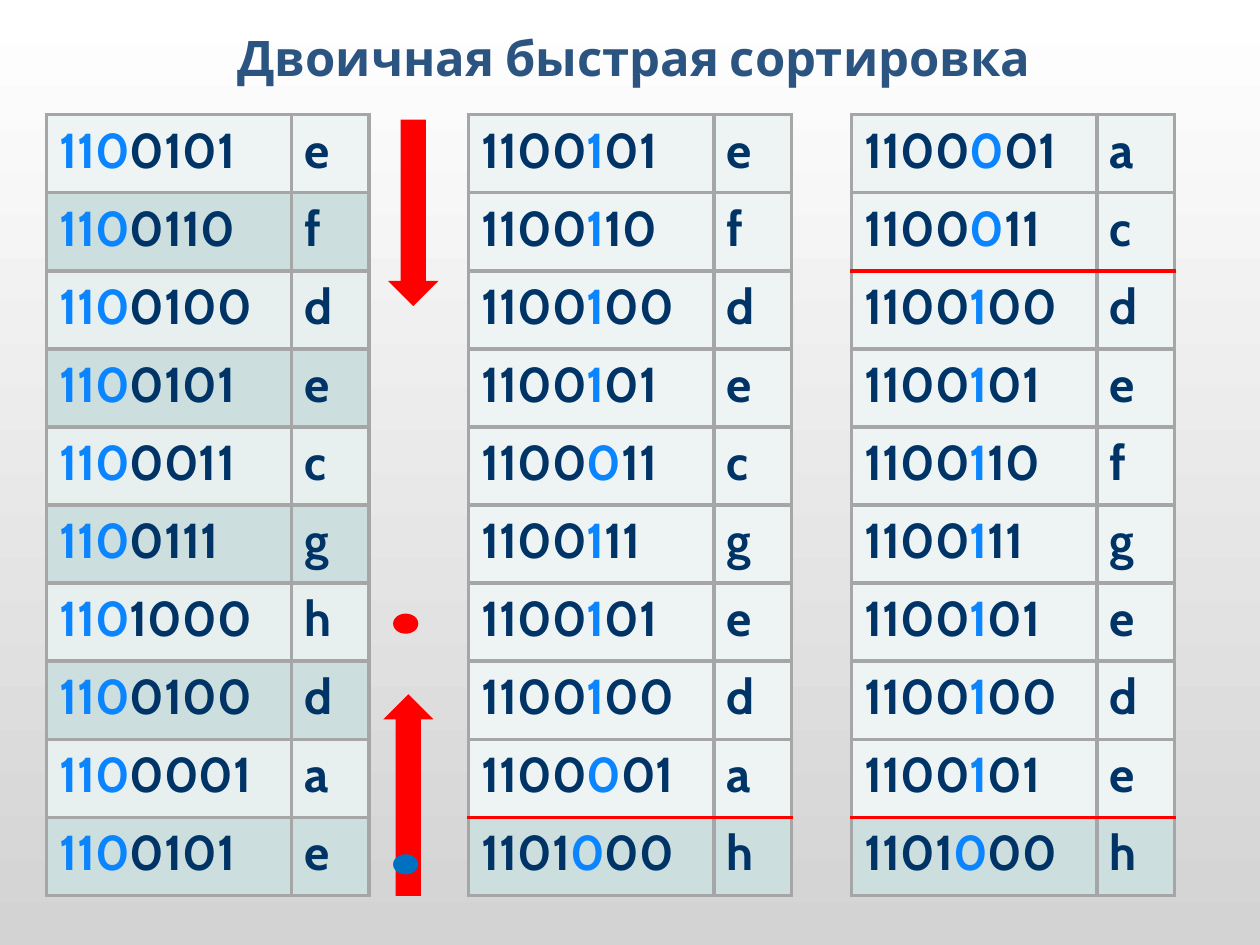
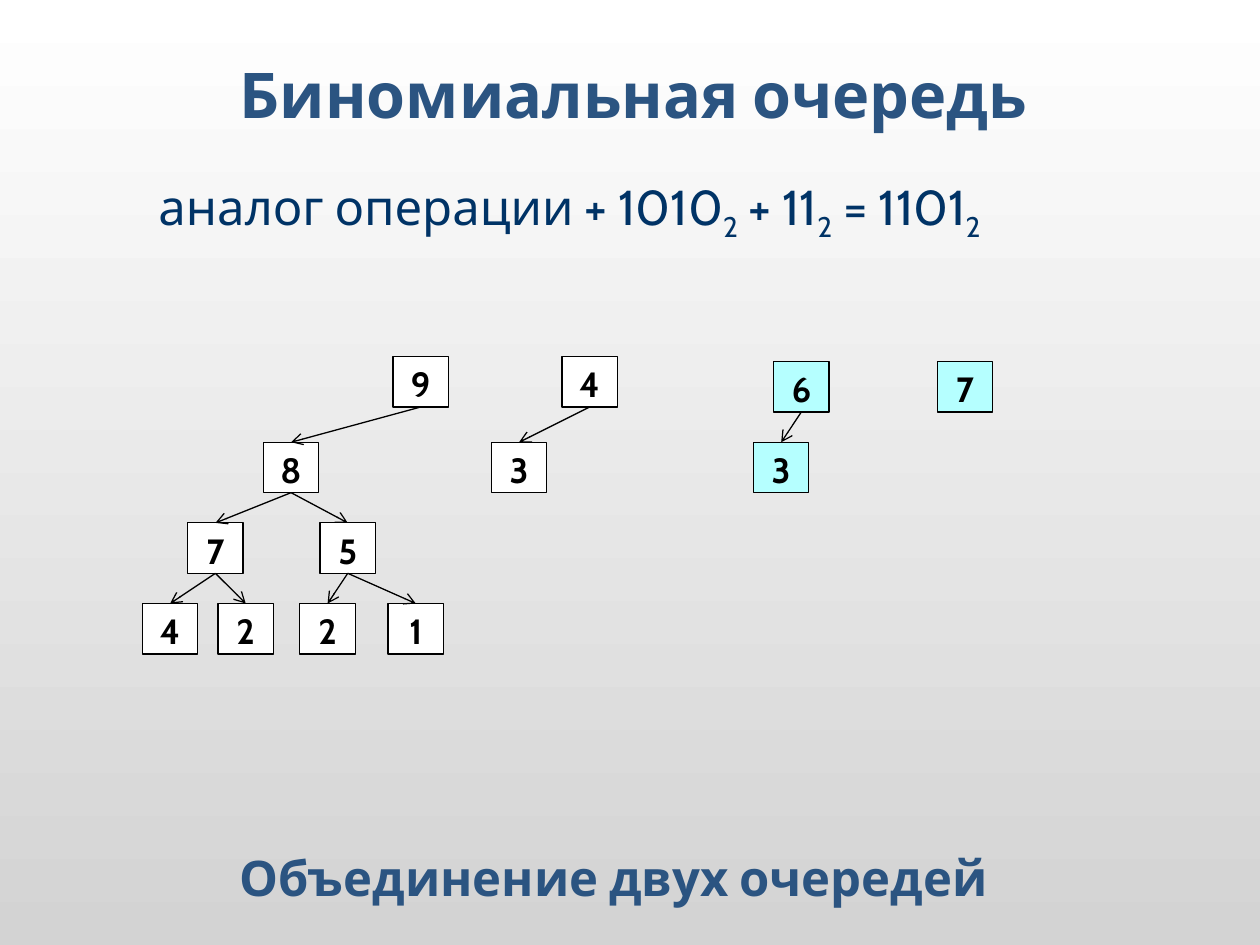
from collections import namedtuple

from lxml import etree
from pptx import Presentation
from pptx.dml.color import RGBColor
from pptx.enum.shapes import MSO_CONNECTOR, MSO_SHAPE
from pptx.enum.text import MSO_ANCHOR, MSO_AUTO_SIZE, PP_ALIGN
from pptx.oxml.ns import qn
from pptx.util import Inches, Pt

COLORS = {
    "title": "2B5481", "text": "003366", "bit": "0A85FF", "ink": "000000",
    "pale": "EEF4F4", "light": "E7EFEF", "band": "CCDEDE", "grid": "A6A6A6",
    "red": "FF0000", "blue": "0070C0", "white": "FFFFFF", "cyan": "B5FFFF",
    "page_top": "FFFFFF", "page_bottom": "D3D3D3",
}
FONT = "Cabin"
COLUMNS, ROWS = 100, 75
CELL = Inches(0.1)
TITLE_ONLY = 5
NODE_WIDTH, NODE_HEIGHT = 4.4, 4
BOTTOM_SITE, TOP_SITE = 2, 0
CENTER, LEFT = PP_ALIGN.CENTER, PP_ALIGN.LEFT
MIDDLE, TOP = MSO_ANCHOR.MIDDLE, MSO_ANCHOR.TOP
NO_AUTOSIZE = MSO_AUTO_SIZE.NONE
DOWN_ARROW, OVAL, RECTANGLE = MSO_SHAPE.DOWN_ARROW, MSO_SHAPE.OVAL, MSO_SHAPE.RECTANGLE
STRAIGHT = MSO_CONNECTOR.STRAIGHT

Box = namedtuple("Box", "left top width height")
Node = namedtuple("Node", "key left level parent")


def color(name):
    """Return the named palette colour."""
    return RGBColor.from_string(COLORS[name])


def place(box):
    """Turn a box of grid cells into slide lengths."""
    return [round(length * CELL) for length in box]


def add_run(paragraph, text, size, tint, bold=True, subscript=False):
    """Append one formatted run."""
    run = paragraph.add_run()
    run.text = text
    font = run.font
    font.name, font.size, font.bold = FONT, Pt(size), bold
    font.color.rgb = color(tint)
    if subscript:
        run._r.get_or_add_rPr().set("baseline", "-25000")


def prepare_text(frame, align=CENTER, anchor=TOP):
    """Set up a text frame and return its first paragraph."""
    frame.word_wrap = True
    frame.auto_size = NO_AUTOSIZE
    frame.vertical_anchor = anchor
    paragraph = frame.paragraphs[0]
    paragraph.alignment = align
    paragraph.space_before = Pt(0)
    return paragraph


def add_titled_slide(prs, title, box, size):
    """Add a slide with its title set in the given box."""
    slide = prs.slides.add_slide(prs.slide_layouts[TITLE_ONLY])
    heading = slide.shapes.title
    heading.left, heading.top, heading.width, heading.height = place(box)
    add_run(prepare_text(heading.text_frame, anchor=MIDDLE), title, size, "title")
    return slide


def add_textbox(slide, box, anchor=TOP):
    """Add a centred text box and return its paragraph."""
    return prepare_text(slide.shapes.add_textbox(*place(box)).text_frame, anchor=anchor)


def add_figure(slide, kind, box, fill, line=None):
    """Add a flat preset shape."""
    figure = slide.shapes.add_shape(kind, *place(box))
    figure.shadow.inherit = False
    figure.fill.solid()
    figure.fill.fore_color.rgb = color(fill)
    if line:
        figure.line.color.rgb = color(line)
        figure.line.width = Pt(0.75)
    else:
        figure.line.fill.background()
    return figure


def set_borders(cell, top, bottom):
    """Draw the four borders of a cell."""
    tints = {"a:lnL": "grid", "a:lnR": "grid", "a:lnT": top, "a:lnB": bottom}
    properties = cell._tc.get_or_add_tcPr()
    for index, (tag, tint) in enumerate(tints.items()):
        border = etree.Element(qn(tag), w=str(Pt(2.25)))
        fill = etree.SubElement(border, qn("a:solidFill"))
        etree.SubElement(fill, qn("a:srgbClr"), val=COLORS[tint])
        properties.insert(index, border)


def add_key_table(slide, box, letters, bits, fills, cuts=()):
    """List letters with their codes, marking the bits and the cuts between parts."""
    table = slide.shapes.add_table(len(letters), 2, *place(box)).table
    table.first_row = table.horz_banding = False
    code_width = box.width * 0.76
    for column, width in zip(table.columns, (code_width, box.width - code_width)):
        column.width = round(width * CELL)
    start, end = bits
    for index, (letter, fill) in enumerate(zip(letters, fills)):
        table.rows[index].height = round(box.height / len(letters) * CELL)
        code = format(ord(letter), "07b")
        code_parts = [(code[:start], "text"), (code[start:end], "bit"), (code[end:], "text")]
        for cell, parts in zip(table.rows[index].cells, (code_parts, [(letter, "text")])):
            cell.fill.solid()
            cell.fill.fore_color.rgb = color(fill)
            set_borders(cell, "red" if index in cuts else "grid",
                        "red" if index + 1 in cuts else "grid")
            paragraph = cell.text_frame.paragraphs[0]
            paragraph.alignment = LEFT
            for text, tint in parts:
                if text:
                    add_run(paragraph, text, 28, tint)


def add_scan_marks(slide, box):
    """Draw the two scan arrows and the dots where they stop."""
    left, top, width, height = box
    add_figure(slide, DOWN_ARROW, Box(left + 0.4, top, width, 14.8), "red")
    upward = add_figure(slide, DOWN_ARROW, Box(left, top + height - 16, width, 16), "red")
    upward.rotation = 180
    for row, tint in ((39.2, "red"), (58.3, "blue")):
        add_figure(slide, OVAL, Box(left + 0.8, top + row, width / 2, 1.6), tint)


def add_edge(slide, parent, child):
    """Join a parent node to its child with an arrow."""
    edge = slide.shapes.add_connector(STRAIGHT, 0, 0, 0, 0)
    edge.begin_connect(parent, BOTTOM_SITE)
    edge.end_connect(child, TOP_SITE)
    edge.line.color.rgb = color("ink")
    edge.line.width = Pt(0.75)
    etree.SubElement(edge.line._get_or_add_ln(), qn("a:tailEnd"), type="arrow")
    etree.SubElement(edge._element.spPr, qn("a:effectLst"))


def add_queue(slide, left, level_tops, nodes, fill):
    """Draw the trees of one queue, each node under its parent."""
    drawn = []
    for node in nodes:
        box = Box(left + node.left, level_tops[node.level], NODE_WIDTH, NODE_HEIGHT)
        figure = add_figure(slide, RECTANGLE, box, fill, "ink")
        add_run(prepare_text(figure.text_frame), node.key, 20, "ink")
        if node.parent is not None:
            add_edge(slide, drawn[node.parent], figure)
        drawn.append(figure)


def build_sort_slide(prs):
    """Build the binary quicksort slide."""
    slide = add_titled_slide(prs, "Двоичная быстрая сортировка", Box(5.3, 2, 90, 5), 28)
    banded = ["pale"] + ["band", "light"] * 4 + ["band"]
    split = ["pale"] * 9 + ["band"]
    steps = [
        (3.7, "efdecghdae", (0, 3), banded, ()),
        (37.2, "efdecgedah", (4, 5), split, (9,)),
        (67.6, "acdefgedeh", (4, 5), split, (2, 9)),
    ]
    for left, *step in steps:
        add_key_table(slide, Box(left, 9.1, 25.6, 62), *step)
    add_scan_marks(slide, Box(30.4, 9.5, 4, 61.6))


def build_queue_slide(prs):
    """Build the binomial queue slide."""
    slide = add_titled_slide(prs, "Биномиальная очередь", Box(5.3, 2, 90, 10.8), 36)
    caption = add_textbox(slide, Box(3.7, 66.6, 90, 6), MIDDLE)
    add_run(caption, "Объединение двух очередей", 28, "title")
    formula = add_textbox(slide, Box(6.1, 13.5, 78.2, 5.7))
    for term in ("аналог операции + 1010", " + 11", " = 1101"):
        add_run(formula, term, 28, "text", bold=False)
        add_run(formula, "2", 28, "text", bold=False, subscript=True)
    first = [
        Node("9", 19.9, 0, None), Node("8", 9.6, 1, 0),
        Node("7", 3.6, 2, 1), Node("5", 14.1, 2, 1),
        Node("4", 0, 3, 2), Node("2", 6, 3, 2),
        Node("2", 12.5, 3, 3), Node("1", 19.5, 3, 3),
        Node("4", 33.3, 0, None), Node("3", 27.7, 1, 8),
    ]
    second = [Node("6", 1.6, 0, None), Node("3", 0, 1, 0), Node("7", 14.6, 0, None)]
    add_queue(slide, 11.3, (28.3, 35.1, 41.5, 47.9), first, "white")
    add_queue(slide, 59.8, (28.7, 35.1), second, "cyan")


def set_background(prs):
    """Give every slide the same vertical gradient."""
    fill = prs.slide_master.background.fill
    fill.gradient()
    fill.gradient_angle = 270
    for stop, tint in zip(fill.gradient_stops, ("page_top", "page_bottom")):
        stop.color.rgb = color(tint)


def main():
    """Build and save the presentation."""
    prs = Presentation()
    prs.slide_width, prs.slide_height = COLUMNS * CELL, ROWS * CELL
    set_background(prs)
    build_sort_slide(prs)
    build_queue_slide(prs)
    prs.save("out.pptx")


if __name__ == "__main__":
    main()
